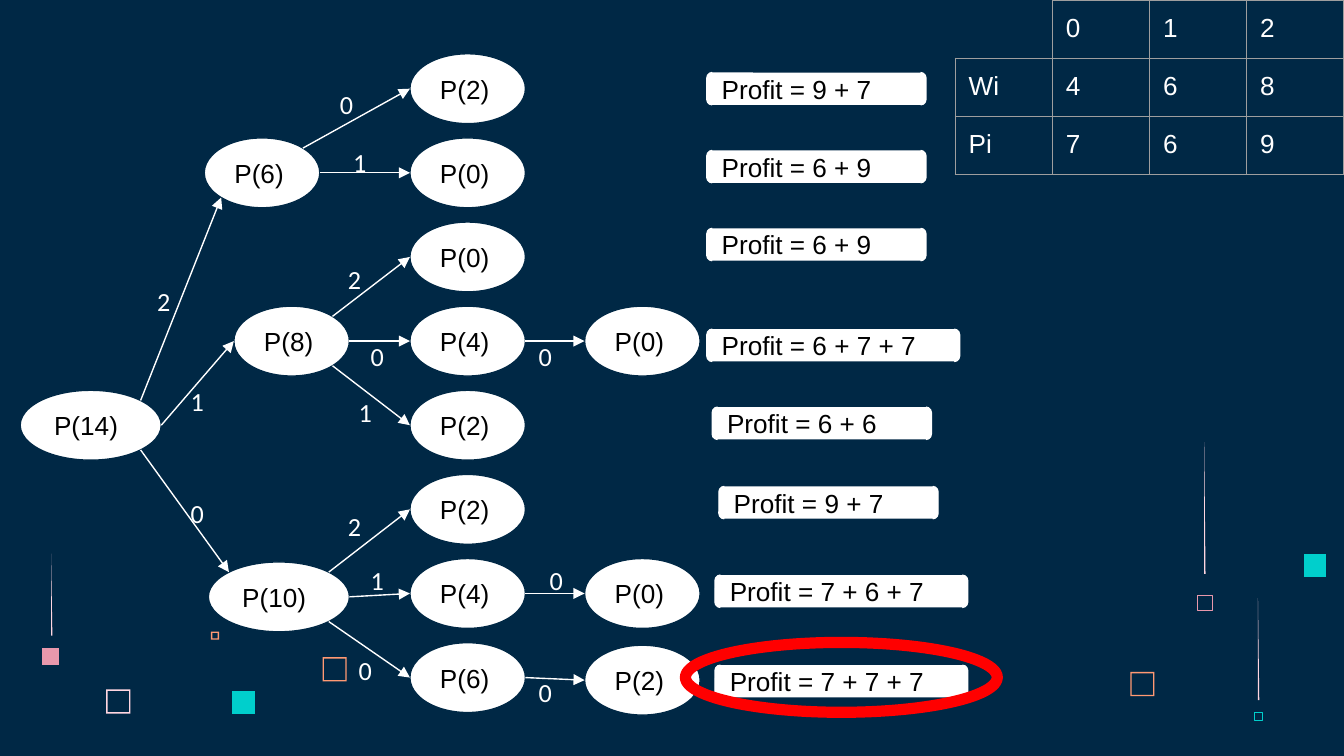
"""Builds a knapsack decision tree slide with profits and an item table."""
import math
import lxml.etree
import pptx
import pptx.dml.color
import pptx.enum.shapes
import pptx.enum.text
import pptx.oxml.ns
import pptx.util

KIND = pptx.enum.shapes.MSO_SHAPE
WIDE, HIGH = 10, 5.625
NAVY, WHITE, BLACK, GREY, RED = "002845", "FFFFFF", "000000", "9E9E9E", "FF0000"
PINK, ROSE, PEACH, TEAL = "FFD6E1", "E898AC", "FF9973", "00CFCC"

TOP, STEP, TALL = 0.4, 0.626, 0.52
THIRD, FOURTH = 3.05, 4.35
NODES = {
    "root": ("P(14)", 0.15, 4, 1.05),
    "low": ("P(10)", 1.55, 6.04, 1.05),
    "mid": ("P(8)", 1.74, 3, 0.86),
    "high": ("P(6)", 1.52, 1, 0.86),
    "end": ("P(0)", FOURTH, 3, 0.86),
    "end1": ("P(0)", FOURTH, 6, 0.86),
    "end2": ("P(2)", FOURTH, 7.03, 0.86),
}
LEAVES = ["P(2)", "P(0)", "P(0)", "P(4)", "P(2)", "P(2)", "P(4)", "P(6)"]
NODES.update({row: (text, THIRD, row, 0.86) for row, text in enumerate(LEAVES)})

RIGHT, LEFT, UP, DOWN = 0, 180, -45, 45
EDGES = [
    ("root", RIGHT, "mid", LEFT, "1", 1.32, 2.77, 0.45),
    ("root", UP, "high", 135, "2", 1.07, 2.02, 0.45),
    ("root", DOWN, "low", 225, "0", 1.32, 3.6, 0.45),
    ("high", UP, 0, LEFT, "0", 2.43, 0.56, 0.79),
    ("high", RIGHT, 1, LEFT, "1", 2.53, 0.99, 0.79),
    ("mid", UP, 2, LEFT, "2", 2.49, 1.86, 0.45),
    ("mid", RIGHT, 3, LEFT, "0", 2.66, 2.43, 0.45),
    ("mid", DOWN, 4, LEFT, "1", 2.57, 2.85, 0.45),
    (3, RIGHT, "end", LEFT, "0", 3.91, 2.43, 0.45),
    ("low", UP, 5, LEFT, "2", 2.49, 3.7, 0.45),
    ("low", RIGHT, 6, LEFT, "1", 2.66, 4.1, 0.45),
    ("low", DOWN, 7, LEFT, "0", 2.57, 4.77, 0.45),
    (6, RIGHT, "end1", LEFT, "0", 3.99, 4.1, 0.45),
    (7, RIGHT, "end2", LEFT, "0", 3.91, 4.93, 0.45),
]
GAINS = [
    ("9 + 7", 5.26, 0.54), ("6 + 9", 5.26, 1.12), ("6 + 9", 5.26, 1.7),
    ("6 + 7 + 7", 5.26, 2.45), ("6 + 6", 5.3, 3.03), ("9 + 7", 5.35, 3.62),
    ("7 + 6 + 7", 5.32, 4.28), ("7 + 7 + 7", 5.32, 4.95),
]
CELL, LINE = WIDE * 0.0723, 0.433
TABLES = [
    (LINE, [["Wi", "4", "6", "8"], ["Pi", "7", "6", "9"]]),
    (0, [["0", "1", "2"]]),
]
FRAMES = [(0.79, 5.13, 0.18, PINK), (2.25, 4.54, 0.12, ROSE), (1.57, 4.7, 0.06, PEACH),
          (2.4, 4.89, 0.18, PEACH), (8.41, 5, 0.18, PEACH)]
BLOCKS = [(1.73, 5.14, 0.17, TEAL), (0.31, 4.82, 0.13, ROSE), (9.7, 4.12, 0.17, TEAL)]
RINGS = [(8.91, 4.43, 0.11, ROSE), (9.33, 5.3, 0.06, TEAL)]
RAYS = [(8.96, 3.29, 0.98), (0.38, 4.12, 0.61), (9.36, 4.45, 0.76)]


def inch(*sizes):
    return [pptx.util.Inches(size) for size in sizes]


def tint(code):
    return pptx.dml.color.RGBColor.from_string(code)


def paint(shape, fill=None, edge=None, width=0.75):
    shape.shadow.inherit = False
    for part, code in ((shape.fill, fill), (shape.line.fill, edge)):
        if code:
            part.solid()
            part.fore_color.rgb = tint(code)
        else:
            part.background()
    if edge:
        shape.line.width = pptx.util.Pt(width)


def write(frame, text, code, face="Arial", **form):
    pad = pptx.util.Inches(0.1)
    base = dict.fromkeys(["margin_left", "margin_right", "margin_top", "margin_bottom"], pad)
    for name, value in {**base, "word_wrap": True, **form}.items():
        setattr(frame, name, value)
    line = frame.paragraphs[0]
    line.alignment = pptx.enum.text.PP_ALIGN.LEFT
    run = line.add_run()
    run.text = text
    for name, value in {"size": pptx.util.Pt(14), "name": face}.items():
        setattr(run.font, name, value)
    run.font.color.rgb = tint(code)


def badge(slide, kind, box, text, edge):
    shape = slide.shapes.add_shape(kind, *inch(*box))
    paint(shape, WHITE, edge)
    write(shape.text_frame, text, BLACK, vertical_anchor=pptx.enum.text.MSO_ANCHOR.MIDDLE)


def outline(slide, loops, fill=None, edge=None):
    pen = None
    for first, *rest in loops:
        if pen:
            pen.move_to(*inch(*first))
        else:
            pen = slide.shapes.build_freeform(*inch(*first))
        pen.add_line_segments([inch(*spot) for spot in rest], close=True)
    paint(pen.convert_to_shape(), fill, edge, 0.23)


def square(x, y, size):
    return [(x, y), (x, y + size), (x + size, y + size), (x + size, y)]


def decor(slide):
    for x, y, size, code in FRAMES:
        hole = square(x + 0.01, y + 0.01, size - 0.02)
        outline(slide, [hole[::-1], square(x, y, size)], code)
    for *box, code in BLOCKS:
        outline(slide, [square(*box)], code)
    for *box, code in RINGS:
        outline(slide, [square(*box)], edge=code)
    for x, y, size in RAYS:
        outline(slide, [[(x, y), (x, y + size), (x + 0.01, y + size)]], PINK)


def site(name, turn):
    _, x, row, width = NODES[name]
    angle = math.radians(turn)
    return (x + width / 2 * (1 + math.cos(angle)),
            TOP + row * STEP + TALL / 2 * (1 + math.sin(angle)))


def arrow(slide, start, end):
    kind = pptx.enum.shapes.MSO_CONNECTOR.STRAIGHT
    link = slide.shapes.add_connector(kind, *inch(*start, *end))
    link.line.color.rgb = tint(WHITE)
    link.line.width = pptx.util.Pt(0.75)
    props = link.element.spPr
    qn = pptx.oxml.ns.qn
    lxml.etree.SubElement(props.find(qn("a:ln")), qn("a:tailEnd"), type="triangle")
    lxml.etree.SubElement(props, qn("a:effectLst"))


def border(cell):
    qn = pptx.oxml.ns.qn
    props = cell._tc.get_or_add_tcPr()
    for spot, side in enumerate(["lnL", "lnR", "lnT", "lnB"]):
        rule = lxml.etree.Element(qn("a:" + side), w=str(pptx.util.Pt(0.75)))
        fill = lxml.etree.SubElement(rule, qn("a:solidFill"))
        lxml.etree.SubElement(fill, qn("a:srgbClr"), val=GREY)
        props.insert(spot, rule)


def grid(slide, top, rows):
    count = len(rows[0])
    box = inch(WIDE - count * CELL, top, count * CELL, len(rows) * LINE)
    table = slide.shapes.add_table(len(rows), count, *box).table
    table.first_row = table.horz_banding = False
    for r, row in enumerate(rows):
        for c, text in enumerate(row):
            cell = table.cell(r, c)
            cell.fill.background()
            border(cell)
            for side in ("left", "right", "top", "bottom"):
                setattr(cell, "margin_" + side, pptx.util.Inches(0.1))
            write(cell.text_frame, text, WHITE)


def main():
    deck = pptx.Presentation()
    deck.slide_width, deck.slide_height = inch(WIDE, HIGH)
    slide = deck.slides.add_slide(deck.slide_layouts[6])
    slide.background.fill.solid()
    slide.background.fill.fore_color.rgb = tint(NAVY)
    decor(slide)
    for text, x, row, width in NODES.values():
        badge(slide, KIND.OVAL, (x, TOP + row * STEP, width, TALL), text, NAVY)
    for top, rows in TABLES:
        grid(slide, top, rows)
    for start, out, end, into, *_ in EDGES:
        arrow(slide, site(start, out), site(end, into))
    for *_, text, x, y, width in EDGES:
        label = slide.shapes.add_textbox(*inch(x, y, width, 0.44))
        write(label.text_frame, text, WHITE, "Calibri",
              auto_size=pptx.enum.text.MSO_AUTO_SIZE.SHAPE_TO_FIT_TEXT)
    for gain, x, y in GAINS:
        width = 1.88 if gain.count("+") > 1 else 1.63
        badge(slide, KIND.DOUBLE_BRACKET, (x, y, width, 0.24), "Profit = " + gain, WHITE)
    best = slide.shapes.add_shape(KIND.OVAL, *inch(5.1, 4.78, 2.32, TALL))
    paint(best, edge=RED, width=6)
    deck.save("out.pptx")


if __name__ == "__main__":
    main()
